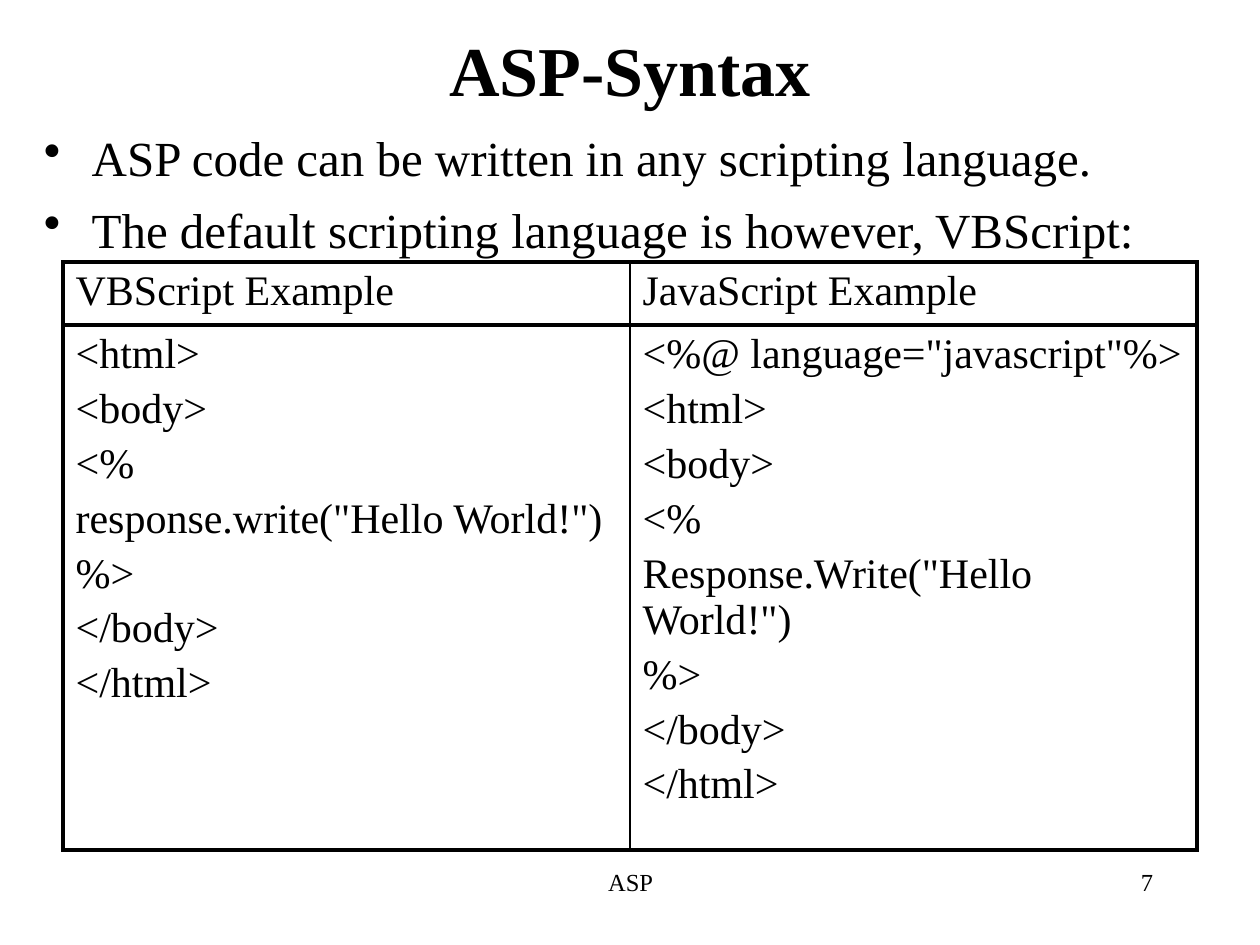
import pptx
import pptx.dml.color
import pptx.enum.text
import pptx.oxml
import pptx.oxml.ns
import pptx.util
from pptx.util import Inches

BLACK = pptx.dml.color.RGBColor(0, 0, 0)
WHITE = pptx.dml.color.RGBColor(255, 255, 255)
ALIGN = pptx.enum.text.PP_ALIGN
ANCHOR = pptx.enum.text.MSO_ANCHOR
NAMESPACE = pptx.oxml.ns.nsdecls("a")


def write_lines(text_frame, lines, size, bold=False, alignment=ALIGN.LEFT, space=0):
    font_format = {"name": "Times New Roman", "size": pptx.util.Pt(size), "bold": bold}
    for index, line in enumerate(lines):
        paragraph = text_frame.paragraphs[0] if index == 0 else text_frame.add_paragraph()
        paragraph.alignment = alignment
        paragraph.space_before = pptx.util.Pt(space)
        run = paragraph.add_run()
        run.text = line
        for name, value in font_format.items():
            setattr(run.font, name, value)
        run.font.color.rgb = BLACK


def add_text(left, top, width, height, lines, size, anchor=ANCHOR.TOP, **options):
    box = slide.shapes.add_textbox(Inches(left), Inches(top), Inches(width), Inches(height))
    box.text_frame.word_wrap = True
    box.text_frame.vertical_anchor = anchor
    write_lines(box.text_frame, lines, size, **options)
    return box.text_frame


presentation = pptx.Presentation()
presentation.slide_width = Inches(10)
presentation.slide_height = Inches(7.5)
slide = presentation.slides.add_slide(presentation.slide_layouts[6])

add_text(3.42, 6.83, 3.17, 0.5, ["ASP"], 14, alignment=ALIGN.CENTER)
add_text(7.17, 6.83, 2.08, 0.5, ["7"], 14, alignment=ALIGN.RIGHT)
add_text(0.75, -0.08, 8.5, 1.25, ["ASP-Syntax"], 40, anchor=ANCHOR.MIDDLE,
         bold=True, alignment=ALIGN.CENTER)

statements = [
    "ASP code can be written in any scripting language.",
    "The default scripting language is however, VBScript:",
]
body = add_text(0.25, 0.92, 9.5, 5.75, statements, 28, space=7.8)
body.margin_top = Inches(0.09)
body.paragraphs[0].space_before = pptx.util.Pt(0)
for paragraph in body.paragraphs:
    properties = paragraph._p.get_or_add_pPr()
    properties.set("marL", str(Inches(0.38)))
    properties.set("indent", str(-Inches(0.38)))
    properties.append(pptx.oxml.parse_xml(f'<a:buChar {NAMESPACE} char="•"/>'))

closing = ["%>", "</body>", "</html>"]
opening = ["<html>", "<body>", "<%"]
rows = [
    [["VBScript Example"], ["JavaScript Example"]],
    [
        opening + ['response.write("Hello World!")'] + closing,
        ['<%@ language="javascript"%>'] + opening + ['Response.Write("Hello World!")'] + closing,
    ],
]
table = slide.shapes.add_table(2, 2, Inches(0.5), Inches(2.08), Inches(9), Inches(4.35)).table
for name in ("first_row", "horz_banding"):
    setattr(table, name, False)
for row, height in zip(table.rows, (0.46, 3.89)):
    row.height = Inches(height)

for row_index, row in enumerate(rows):
    for column_index, lines in enumerate(row):
        cell = table.cell(row_index, column_index)
        write_lines(cell.text_frame, lines, 24, space=4.8)
        border_widths = {
            "lnL": 2.25 if column_index == 0 else 1,
            "lnR": 1 if column_index == 0 else 2.25,
            "lnT": 2.25,
            "lnB": 2.25,
        }
        properties = cell._tc.get_or_add_tcPr()
        for side, width in border_widths.items():
            properties.append(pptx.oxml.parse_xml(
                f'<a:{side} {NAMESPACE} w="{pptx.util.Pt(width)}"><a:solidFill>'
                f'<a:srgbClr val="{BLACK}"/></a:solidFill></a:{side}>'))
        cell.fill.solid()
        cell.fill.fore_color.rgb = WHITE

presentation.save("out.pptx")
